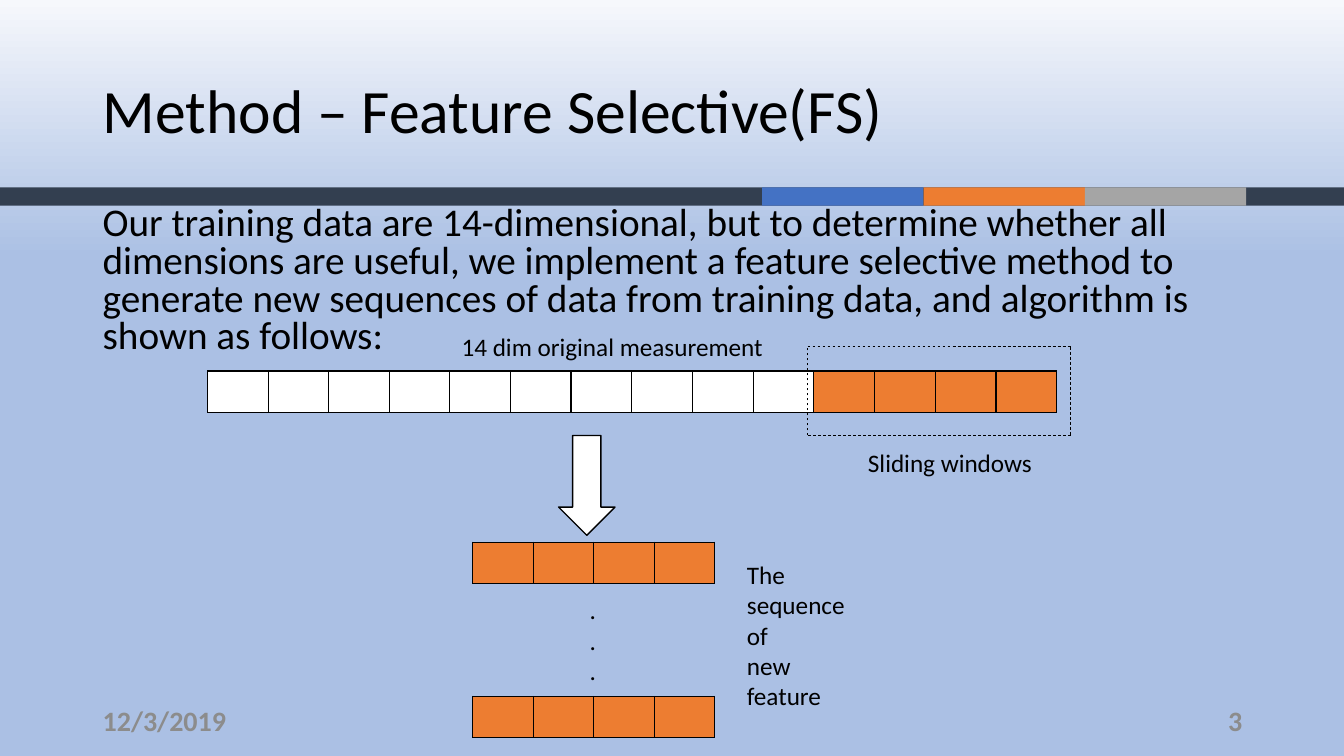
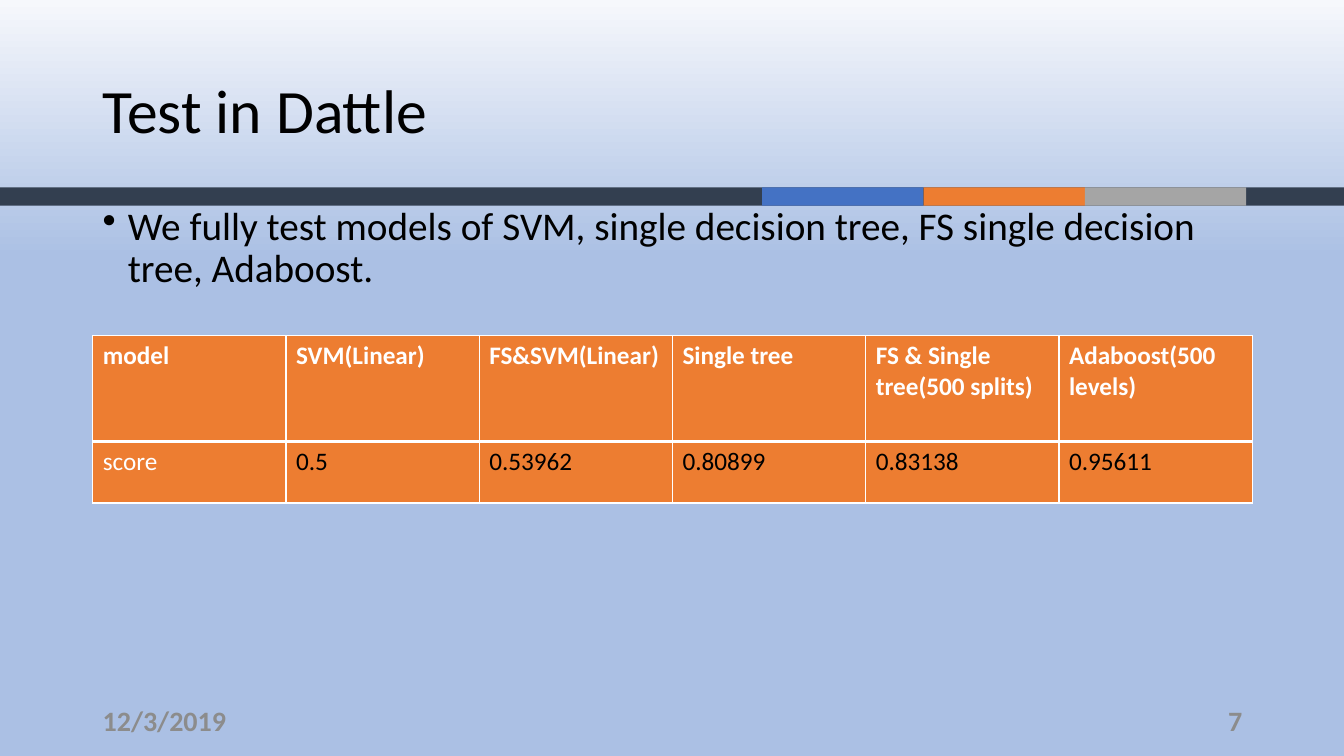
from lxml.etree import SubElement
from pptx import Presentation
from pptx.dml.color import RGBColor
from pptx.enum.dml import MSO_LINE
from pptx.enum.shapes import MSO_CONNECTOR, MSO_SHAPE
from pptx.enum.text import MSO_ANCHOR, MSO_AUTO_SIZE, PP_ALIGN
from pptx.oxml.ns import qn
from pptx.util import Inches, Pt

# Shared look
FONT = "Calibri"
BLACK, WHITE, GREY = "000000", "FFFFFF", "8C8C8C"
NAVY, BLUE, ORANGE, SILVER = "333F50", "4472C4", "ED7D31", "A5A5A5"
BACKGROUND_STOPS = [(0, "F6F8FC"), (34, "ABC0E4"), (100, "ABC0E4"), (100, "C7D5ED")]
LEFT, CONTENT_WIDTH = 0.92, 11.5
SLIDE_WIDTH, SLIDE_HEIGHT = 13.33, 7.5
DATE = "12/3/2019"


def color(hex_value):
    return RGBColor.from_string(hex_value)


def style_font(paragraph, size, hex_color=BLACK, bold=False):
    font = paragraph.font
    font.name, font.size, font.bold = FONT, Pt(size), bold
    font.color.rgb = color(hex_color)


def add_text(slide, box, lines, size, hex_color=BLACK, bold=False,
             anchor=MSO_ANCHOR.TOP, align=PP_ALIGN.LEFT, grow=False):
    frame = slide.shapes.add_textbox(*map(Inches, box)).text_frame
    frame.word_wrap = True
    frame.auto_size = MSO_AUTO_SIZE.SHAPE_TO_FIT_TEXT if grow else MSO_AUTO_SIZE.NONE
    frame.vertical_anchor = anchor
    frame.text = lines
    for paragraph in frame.paragraphs:
        paragraph.alignment = align
        style_font(paragraph, size, hex_color, bold)
    return frame.paragraphs[0]


def add_label(slide, box, lines):
    add_text(slide, box, lines, 18, grow=True)


def add_body(slide, height, text, line_spacing, bullet=False):
    body = add_text(slide, (LEFT, 2, CONTENT_WIDTH, height), text, 28)
    body.line_spacing = line_spacing
    body.space_before = Pt(10)
    if bullet:
        props = body._p.get_or_add_pPr()
        props.set("marL", str(Inches(0.25)))
        props.set("indent", str(-Inches(0.25)))
        mark = props.makeelement(qn("a:buChar"), {"char": "•"})
        props.find(qn("a:defRPr")).addprevious(mark)


def add_block(slide, preset, box, fill, outline=None):
    block = slide.shapes.add_shape(preset, *map(Inches, box))
    block.shadow.inherit = False
    block.fill.solid()
    block.fill.fore_color.rgb = color(fill)
    if outline:
        block.line.color.rgb = color(outline)
        block.line.width = Pt(1)
    else:
        block.line.fill.background()


def add_dashed_line(slide, start, end):
    line = slide.shapes.add_connector(
        MSO_CONNECTOR.STRAIGHT, *map(Inches, (*start, *end)))
    line.line.color.rgb = color(BLACK)
    line.line.width = Pt(0.5)
    line.line.dash_style = MSO_LINE.DASH
    SubElement(line._element.spPr, qn("a:effectLst"))


def add_dashed_frame(slide, left, top, right, bottom):
    corners = [(left, top), (right, top), (right, bottom), (left, bottom)]
    for start, end in zip(corners, corners[1:] + corners[:1]):
        add_dashed_line(slide, start, end)


# Tables
def style_cell(cell, fill, border, top=1, bottom=1):
    props = cell._tc.get_or_add_tcPr()
    for side, width in (("L", 1), ("R", 1), ("T", top), ("B", bottom)):
        edge = SubElement(props, qn(f"a:ln{side}"), w=str(Pt(width)))
        paint = SubElement(edge, qn("a:solidFill"))
        SubElement(paint, qn("a:srgbClr"), val=border)
    cell.fill.solid()
    cell.fill.fore_color.rgb = color(fill)


def add_grid(slide, rows, columns, box):
    grid = slide.shapes.add_table(rows, columns, *map(Inches, box)).table
    grid.first_row = grid.horz_banding = False
    return grid


def add_strip(slide, left, top, width, fills):
    strip = add_grid(slide, 1, len(fills), (left, top, width, 0.41))
    for cell, fill in zip(strip.iter_cells(), fills):
        style_cell(cell, fill, BLACK)


def add_score_table(slide, scores):
    grid = add_grid(slide, 2, len(scores), (LEFT, 3.33, CONTENT_WIDTH, 1.66))
    for row, height in zip(grid.rows, (1.05, 0.61)):
        row.height = Inches(height)
    for column, texts in enumerate(scores):
        for row, text in enumerate(texts):
            header = row == 0
            cell = grid.cell(row, column)
            cell.text = text
            style_font(cell.text_frame.paragraphs[0], 18,
                       WHITE if header or column == 0 else BLACK, header)
            style_cell(cell, ORANGE, WHITE,
                       top=1 if header else 3, bottom=3 if header else 1)


# Parts common to both slides
def set_background(master):
    fill = master.background.fill
    fill.gradient()
    fill.gradient_angle = 270
    stops = master.element.find(".//" + qn("a:gsLst"))
    for stop in list(stops):
        stops.remove(stop)
    for percent, hex_color in BACKGROUND_STOPS:
        stop = SubElement(stops, qn("a:gs"), pos=str(percent * 1000))
        SubElement(stop, qn("a:srgbClr"), val=hex_color)


def add_base_slide(prs, title, number):
    slide = prs.slides.add_slide(prs.slide_layouts[6])
    add_block(slide, MSO_SHAPE.RECTANGLE, (0, 1.86, SLIDE_WIDTH, 0.18), NAVY)
    for index, fill in enumerate((BLUE, ORANGE, SILVER)):
        add_block(slide, MSO_SHAPE.RECTANGLE,
                  (7.56 + index * 1.6, 1.86, 1.6, 0.18), fill)
    heading = add_text(slide, (LEFT, 0.4, CONTENT_WIDTH, 1.45), title, 44,
                       anchor=MSO_ANCHOR.MIDDLE)
    heading.line_spacing = 0.9
    for left, text, align in ((LEFT, DATE, PP_ALIGN.LEFT),
                              (9.42, number, PP_ALIGN.RIGHT)):
        add_text(slide, (left, 6.95, 3, 0.4), text, 20, GREY, True,
                 MSO_ANCHOR.MIDDLE, align)
    return slide


# Slides
def build_method(prs):
    slide = add_base_slide(prs, "Method – Feature Selective(FS)", "3")
    add_body(slide, 1.61,
             "Our training data are 14-dimensional, but to determine whether all "
             "dimensions are useful, we implement a feature selective method to "
             "generate new sequences of data from training data, and algorithm is "
             "shown as follows:", 0.8)

    # Measurement with its sliding window
    add_strip(slide, 4.46, 3.68, 6.02, [WHITE] * 6 + [ORANGE] * 4)
    add_strip(slide, 2.06, 3.68, 2.4, [WHITE] * 4)
    add_label(slide, (4.48, 3.24, 3.26, 0.4), "14 dim original measurement")
    add_dashed_frame(slide, 8.01, 3.44, 10.62, 4.32)
    add_label(slide, (8.51, 4.39, 1.88, 0.4), "Sliding windows")

    # Resulting features
    add_block(slide, MSO_SHAPE.DOWN_ARROW, (5.54, 4.32, 0.56, 0.99), WHITE, BLACK)
    for top in (5.38, 6.91):
        add_strip(slide, 4.69, top, 2.4, [ORANGE] * 4)
    add_label(slide, (5.75, 5.85, 0.39, 1.01), ".\n.\n.")
    add_label(slide, (7.31, 5.5, 1.4, 1.62), "The\nsequence\nof\nnew\nfeature")


def build_test(prs):
    slide = add_base_slide(prs, "Test in Dattle", "7")
    add_body(slide, 4.76,
             "We fully test models of SVM, single decision tree, FS single "
             "decision tree, Adaboost.", 0.9, bullet=True)
    add_score_table(slide, [
        ("model", "score"),
        ("SVM(Linear)", "0.5"),
        ("FS&SVM(Linear)", "0.53962"),
        ("Single tree", "0.80899"),
        ("FS & Single tree(500 splits)", "0.83138"),
        ("Adaboost(500 levels)", "0.95611"),
    ])


def main():
    prs = Presentation()
    prs.slide_width, prs.slide_height = Inches(SLIDE_WIDTH), Inches(SLIDE_HEIGHT)
    set_background(prs.slide_master)
    build_method(prs)
    build_test(prs)
    prs.save("out.pptx")


if __name__ == "__main__":
    main()
